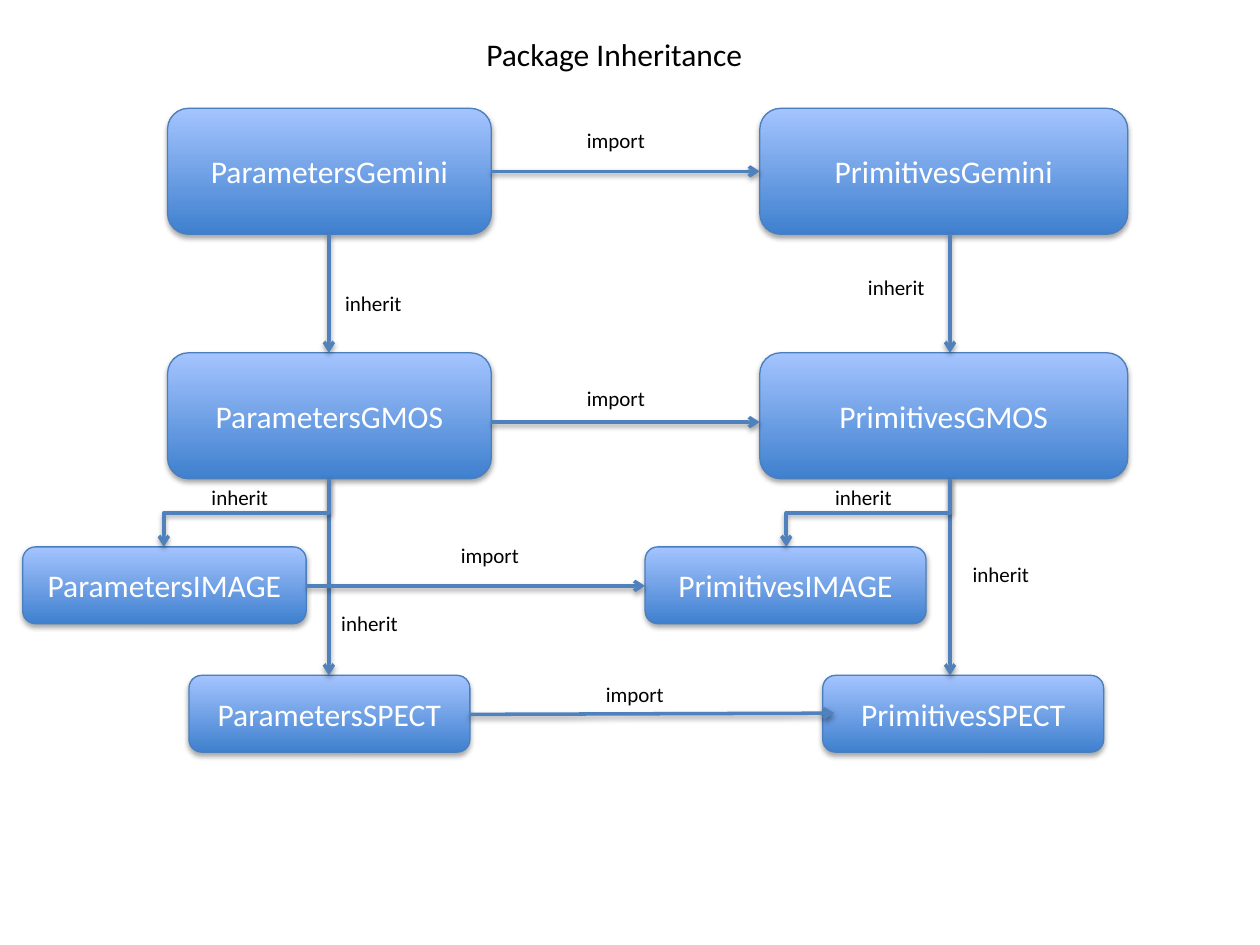
"""Build the package inheritance slide."""
from dataclasses import dataclass
from typing import Any, NamedTuple

from lxml.etree import SubElement
from pptx import Presentation
from pptx.dml.color import RGBColor
from pptx.enum.shapes import MSO_CONNECTOR, MSO_SHAPE
from pptx.enum.text import MSO_ANCHOR, MSO_AUTO_SIZE, PP_ALIGN
from pptx.oxml.ns import qn
from pptx.util import Inches, Pt


@dataclass(frozen=True)
class Theme:
    """Colours, font and type sizes."""
    font: str = "Calibri"
    large: int = 18
    small: int = 12
    ink: str = "000000"
    light: str = "FFFFFF"
    low: str = "3F80CE"
    high: str = "A4C4FF"
    edge: str = "4B7EBC"
    arrow: str = "4F81BD"


class Box(NamedTuple):
    """A named package and its place."""
    text: str
    left: float
    top: float
    width: float
    height: float


class Arrow(NamedTuple):
    """Start and end of an arrow."""
    x: float
    y: float
    to_x: float
    to_y: float


class Label(NamedTuple):
    """Text beside an arrow."""
    text: str
    left: float
    top: float


THEME = Theme()
TALL, SHORT = 1.0, 0.61
TOP, MID, IMAGE, SPECT = 0.86, 2.8, 4.34, 5.36
PARAM, PRIM = 2.61, 7.54

BOXES = [
    *(Box(f"Parameters{name}", 1.33, top, 2.57, TALL)
      for name, top in (("Gemini", TOP), ("GMOS", MID))),
    *(Box(f"Primitives{name}", 6.03, top, 2.92, TALL)
      for name, top in (("Gemini", TOP), ("GMOS", MID))),
    Box("ParametersIMAGE", 0.18, IMAGE, 2.25, SHORT),
    Box("PrimitivesIMAGE", 5.12, IMAGE, 2.23, SHORT),
    Box("ParametersSPECT", 1.5, SPECT, 2.23, SHORT),
    Box("PrimitivesSPECT", 6.53, SPECT, 2.23, SHORT),
]
ARROWS = [
    *(Arrow(x, top + TALL, x, end) for x in (PARAM, PRIM)
      for top, end in ((TOP, MID), (MID, SPECT))),
    Arrow(3.9, 1.36, 6.03, 1.36),
    Arrow(3.9, 3.35, 6.03, 3.35),
    Arrow(2.43, 4.65, 5.12, 4.65),
    Arrow(3.73, 5.67, 6.62, 5.66),
]
BENDS = [Arrow(PARAM, MID + TALL, 1.3, IMAGE), Arrow(PRIM, MID + TALL, 6.24, IMAGE)]
LABELS = [
    *(Label("import", x, y) for x, y in
      ((4.56, 0.96), (4.56, 3.01), (4.71, 5.36), (3.56, 4.26))),
    *(Label("inherit", x, y) for x, y in
      ((2.64, 2.26), (2.61, 4.8), (6.53, 3.8), (7.62, 4.41), (6.79, 2.13), (1.58, 3.8))),
]


def write(shape: Any, text: str, *, size: int = THEME.small, color: str = THEME.ink,
          align: PP_ALIGN = PP_ALIGN.LEFT, anchor: MSO_ANCHOR = MSO_ANCHOR.TOP,
          wrap: bool = False) -> None:
    """Put formatted text in a shape."""
    frame = shape.text_frame
    frame.word_wrap = wrap
    frame.auto_size = MSO_AUTO_SIZE.NONE if wrap else MSO_AUTO_SIZE.SHAPE_TO_FIT_TEXT
    frame.vertical_anchor = anchor
    par = frame.paragraphs[0]
    par.alignment = align
    run = par.add_run()
    run.text = text
    run.font.name = THEME.font
    run.font.size = Pt(size)
    run.font.color.rgb = RGBColor.from_string(color)


def shade(shape: Any, dist: float, alpha: int) -> None:
    """Add a soft shadow straight below."""
    effects = SubElement(shape.element.spPr, qn("a:effectLst"))
    outer = SubElement(effects, qn("a:outerShdw"), blurRad=str(Pt(3.1)),
                       dist=str(Pt(dist)), dir="5400000", rotWithShape="0")
    tint = SubElement(outer, qn("a:srgbClr"), val=THEME.ink)
    SubElement(tint, qn("a:alpha"), val=str(alpha * 1000))


def stroke(shape: Any, color: str, width: float) -> None:
    """Set the outline of a shape."""
    shape.line.color.rgb = RGBColor.from_string(color)
    shape.line.width = Pt(width)


def draw_box(slide: Any, box: Box) -> None:
    """Draw one package box."""
    shape = slide.shapes.add_shape(MSO_SHAPE.ROUNDED_RECTANGLE, *map(Inches, box[1:]))
    shape.fill.gradient()
    shape.fill.gradient_angle = 90
    for stop, color, place in zip(shape.fill.gradient_stops, (THEME.low, THEME.high), (0, 1)):
        stop.color.rgb = RGBColor.from_string(color)
        stop.position = place
    stroke(shape, THEME.edge, 0.75)
    shade(shape, 1.8, 35)
    write(shape, box.text, size=THEME.large, color=THEME.light, align=PP_ALIGN.CENTER,
          anchor=MSO_ANCHOR.MIDDLE, wrap=True)


def draw_arrow(slide: Any, arrow: Arrow, kind: MSO_CONNECTOR = MSO_CONNECTOR.STRAIGHT) -> Any:
    """Draw one arrow and return it."""
    line = slide.shapes.add_connector(kind, *map(Inches, arrow))
    stroke(line, THEME.arrow, 2)
    SubElement(line.element.spPr.find(qn("a:ln")), qn("a:tailEnd"), type="arrow")
    shade(line, 1.6, 38)
    return line


def draw_bend(slide: Any, bend: Arrow) -> None:
    """Draw an elbow that leaves downward, by a quarter turn."""
    mid_x, mid_y = (bend.x + bend.to_x) / 2, (bend.y + bend.to_y) / 2
    half_x, half_y = (bend.to_y - bend.y) / 2, (bend.x - bend.to_x) / 2
    flat = Arrow(mid_x - half_x, mid_y - half_y, mid_x + half_x, mid_y + half_y)
    draw_arrow(slide, flat, MSO_CONNECTOR.ELBOW).rotation = 90


def draw_label(slide: Any, label: Label) -> None:
    """Draw one arrow label."""
    width = 0.67 if label.text == "import" else 0.65
    shape = slide.shapes.add_textbox(*map(Inches, (label.left, label.top, width, 0.3)))
    write(shape, label.text)


def main() -> None:
    """Build and save the slide."""
    deck = Presentation()
    deck.slide_width, deck.slide_height = Inches(10), Inches(7.5)
    slide = deck.slides.add_slide(deck.slide_layouts.get_by_name("Title Only"))
    title = slide.shapes.title
    title.left, title.top, title.width, title.height = map(Inches, (3.76, 0.23, 2.27, 0.4))
    write(title, "Package Inheritance", size=THEME.large)
    for draw, items in ((draw_box, BOXES), (draw_arrow, ARROWS),
                        (draw_bend, BENDS), (draw_label, LABELS)):
        for item in items:
            draw(slide, item)
    deck.save("out.pptx")


main()
